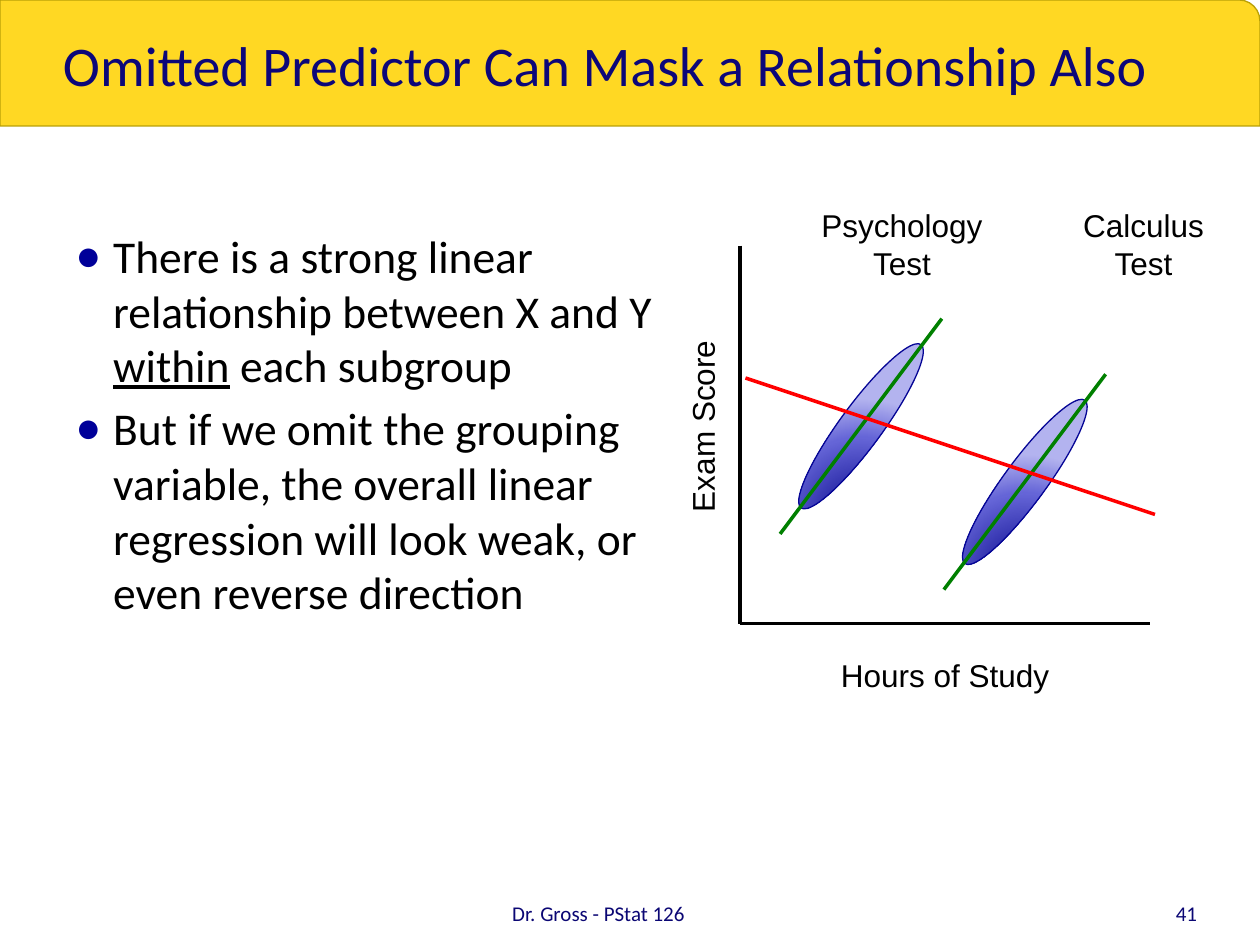
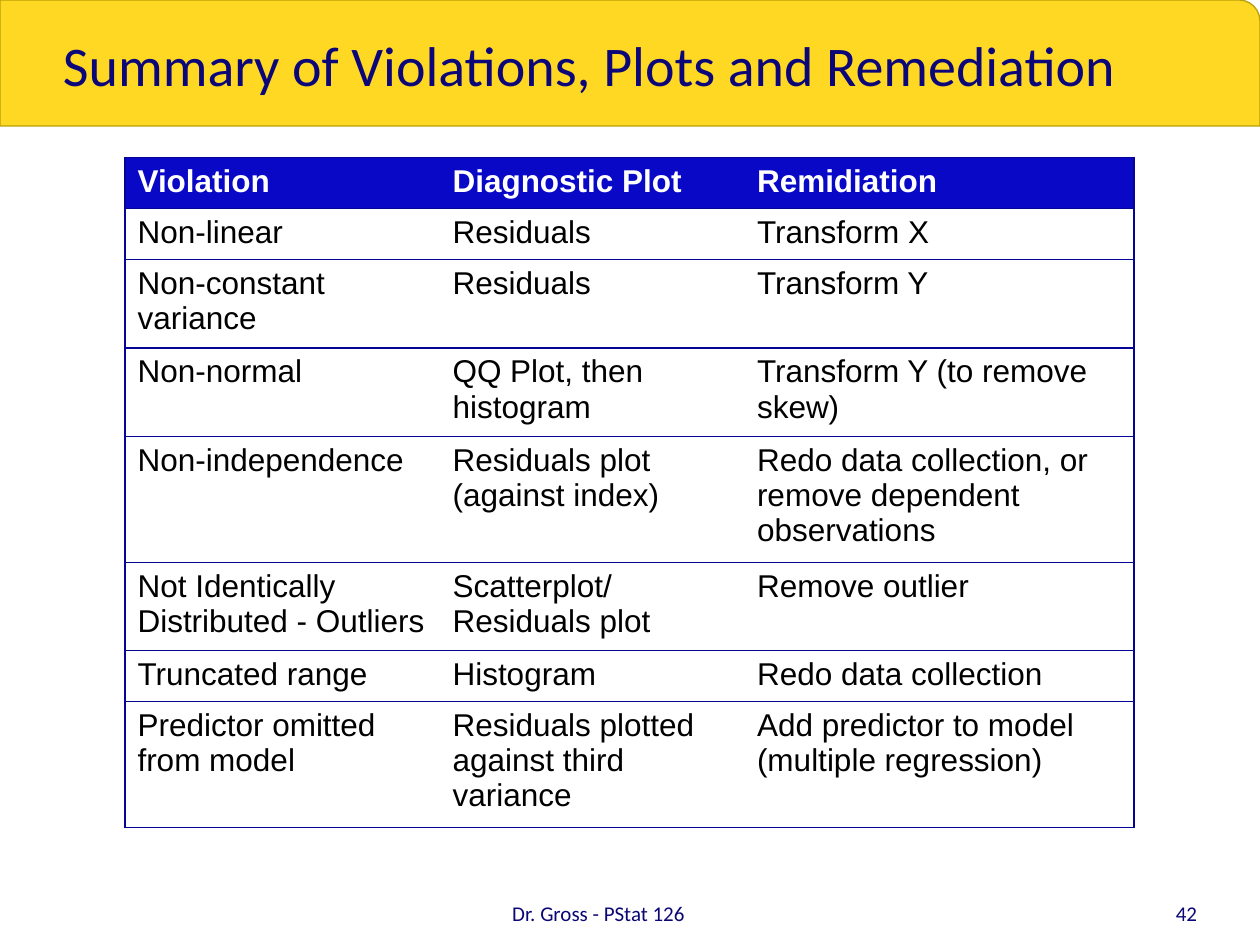
import pptx
import pptx.util
import pptx.dml.color
import pptx.enum.shapes
import pptx.enum.text
import pptx.oxml
import pptx.oxml.ns
from lxml import etree

WIDTH, HEIGHT = 10, 7.5
COLUMNS = 120  # square grid: 120 columns by 90 rows
UNIT = WIDTH / COLUMNS

YELLOW, BAND_EDGE = "FFD823", "B9A006"
TITLE_INK, FOOTER_INK = "0C0779", "0B0774"
NAVY, HEADER_BLUE, BULLET_BLUE = "050595", "0808C6", "000099"
BLACK, WHITE, GREEN, RED = "000000", "FFFFFF", "008000", "FF0000"
CLOUD_STOPS = [(0, "000087"), (68, "6565D7"), (100, "B3B3EF")]

HEAD_FONT, BODY_FONT = "Calibri", "Arial"
FOOTER = "Dr. Gross - PStat 126"
SHAPE = pptx.enum.shapes.MSO_SHAPE
ANCHOR = pptx.enum.text.MSO_ANCHOR
ALIGN = pptx.enum.text.PP_ALIGN

VIOLATIONS = [
    ["Violation", "Diagnostic Plot", "Remidiation"],
    ["Non-linear", "Residuals", "Transform X"],
    ["Non-constant variance", "Residuals", "Transform Y"],
    ["Non-normal", "QQ Plot, then histogram", "Transform Y (to remove skew)"],
    ["Non-independence", "Residuals plot (against index)",
     "Redo data collection, or remove dependent observations"],
    ["Not Identically Distributed - Outliers", "Scatterplot/Residuals plot",
     "Remove outlier"],
    ["Truncated range", "Histogram", "Redo data collection"],
    ["Predictor omitted from model", "Residuals plotted against third variance",
     "Add predictor to model (multiple regression)"],
]
POINTS = [
    [("There is a strong linear relationship between X and Y ", False),
     ("within", True), (" each subgroup", False)],
    [("But if we omit the grouping variable, the overall linear regression "
      "will look weak, or even reverse direction", False)],
]


def grid(*cells):
    """Turn grid cells into lengths."""
    return [pptx.util.Inches(c * UNIT) for c in cells]


def rgb(color):
    return pptx.dml.color.RGBColor.from_string(color)


def xml(tag, body="", **attrs):
    """Make a DrawingML element."""
    attrs = "".join(f' {k}="{v}"' for k, v in attrs.items())
    return pptx.oxml.parse_xml(
        f'<a:{tag} {pptx.oxml.ns.nsdecls("a")}{attrs}>{body}</a:{tag}>')


def solid(color):
    return f'<a:solidFill><a:srgbClr val="{color}"/></a:solidFill>'


def add_run(p, text, size=18, font=BODY_FONT, color=BLACK, bold=False,
            underline=False):
    r = p.add_run()
    r.text = text
    r.font.size = pptx.util.Pt(size)
    r.font.name = font
    r.font.color.rgb = rgb(color)
    r.font.bold = bold
    r.font.underline = underline


def add_frame(s, box, insets=(0.1, 0.05, 0.1, 0.05), anchor=ANCHOR.TOP):
    sp = s.shapes.add_textbox(*grid(*box))
    tf = sp.text_frame
    tf.word_wrap = True
    tf.vertical_anchor = anchor
    (tf.margin_left, tf.margin_top, tf.margin_right,
     tf.margin_bottom) = map(pptx.util.Inches, insets)
    return sp


def add_text(s, text, box, align=ALIGN.LEFT, insets=(0.1, 0.05, 0.1, 0.05),
             anchor=ANCHOR.TOP, **style):
    sp = add_frame(s, box, insets, anchor)
    p = sp.text_frame.paragraphs[0]
    p.alignment = align
    add_run(p, text, **style)
    return sp


def add_shape(s, kind, box, line):
    sp = s.shapes.add_shape(kind, *grid(*box))
    sp.shadow.inherit = False
    sp.line.color.rgb = rgb(line)
    sp.line.width = pptx.util.Pt(0.75)
    return sp


def add_line(s, x1, y1, x2, y2, color=BLACK):
    line = s.shapes.add_connector(
        pptx.enum.shapes.MSO_CONNECTOR.STRAIGHT, *grid(x1, y1, x2, y2))
    line.line.color.rgb = rgb(color)
    line.line.width = pptx.util.Pt(2)
    line._element.spPr.append(xml("effectLst"))


def add_base(prs, title, number):
    """Start a slide with its title band and footer."""
    s = prs.slides.add_slide(prs.slide_layouts[6])
    band = add_shape(s, SHAPE.ROUND_1_RECTANGLE, (0, 0, COLUMNS, 12), BAND_EDGE)
    band.fill.solid()
    band.fill.fore_color.rgb = rgb(YELLOW)
    add_text(s, title, (6, 1, 108, 9.7), insets=(0, 0.05, 0, 0),
             anchor=ANCHOR.MIDDLE, size=32, font=HEAD_FONT, color=TITLE_INK)
    for text, left, width, align in ((FOOTER, 35, 44, ALIGN.CENTER),
                                     (str(number), 104, 10, ALIGN.RIGHT)):
        add_text(s, text, (left, 83.4, width, 4.8), align, insets=(0, 0, 0, 0),
                 anchor=ANCHOR.BOTTOM, size=12, font=HEAD_FONT, color=FOOTER_INK)
    return s


def add_bullets(s, box, points):
    tf = add_frame(s, box, insets=(0.1, 0.56, 0.1, 0.05)).text_frame
    for i, runs in enumerate(points):
        p = tf.add_paragraph() if i else tf.paragraphs[0]
        p.space_before = pptx.util.Pt(5 if i else 0)
        pPr = p._p.get_or_add_pPr()
        indent = pptx.util.Inches(0.3)
        pPr.set("marL", str(indent))
        pPr.set("indent", str(-indent))
        pPr.append(xml("buClr", f'<a:srgbClr val="{BULLET_BLUE}"/>'))
        pPr.append(xml("buSzPct", val=95000))
        pPr.append(xml("buFont", typeface=BODY_FONT))
        pPr.append(xml("buChar", char="●"))
        for text, underline in runs:
            add_run(p, text, size=26, font=HEAD_FONT, underline=underline)


def add_subgroup(s, x, y):
    """Draw a tilted cloud of scores and its trend, centred on x, y."""
    width, height = 4, 19.3
    cloud = add_shape(s, SHAPE.OVAL,
                      (x - width / 2, y - height / 2, width, height), NAVY)
    cloud.rotation = 36.3
    stops = "".join(f'<a:gs pos="{pos * 1000}"><a:srgbClr val="{color}"/></a:gs>'
                    for pos, color in CLOUD_STOPS)
    focus = '<a:fillToRect l="50000" t="130000" r="50000" b="-30000"/>'
    gradient = xml("gradFill", f'<a:gsLst>{stops}</a:gsLst>'
                   f'<a:path path="circle">{focus}</a:path>', rotWithShape=1)
    cloud._element.spPr.find(pptx.oxml.ns.qn("a:prstGeom")).addnext(gradient)
    run, rise = 7.7, 10.25
    add_line(s, x - run, y + rise, x + run, y - rise, GREEN)


def add_score_plot(s, box):
    x, y, w, h = box
    add_line(s, x, y, x, y + h)
    add_line(s, x, y + h, x + w, y + h)
    add_text(s, "Hours of Study", (x, y + h + 2.5, w, 4.8), ALIGN.CENTER)
    label = add_text(s, "Exam Score", (x - 24.1, y + 14.8, 41, 4.8), ALIGN.CENTER)
    label.rotation = 270
    for name, label_x, cx, cy in (("Psychology Test", 5.4, 11.5, 17.2),
                                  ("Calculus Test", 28.4, 27.1, 22.5)):
        add_subgroup(s, x + cx, y + cy)
        add_text(s, name, (x + label_x, y - 4.4, 20, 8.5), ALIGN.CENTER,
                 insets=(0.15, 0.05, 0.15, 0.05))
    add_line(s, x + 0.5, y + 12.6, x + w + 0.5, y + 25.6, RED)


def set_borders(cell, **sides):
    """Draw the named sides of a cell and clear the others."""
    tcPr = cell._tc.get_or_add_tcPr()
    for i, side in enumerate("LRTB"):
        fill = solid(NAVY) if sides.get(side) else "<a:noFill/>"
        tcPr.insert(i, xml(f"ln{side}", fill, w=pptx.util.Pt(0.75)))


def add_table(s, left, top, widths, row_height, rows):
    frame = s.shapes.add_table(
        len(rows), len(widths),
        *grid(left, top, sum(widths), row_height * len(rows)))
    table = frame.table
    table.first_row = table.horz_banding = False
    for column, width in zip(table.columns, widths):
        column.width = grid(width)[0]
    for i, row in enumerate(rows):
        header = i == 0
        for j, text in enumerate(row):
            cell = table.cell(i, j)
            if header:
                cell.fill.solid()
                cell.fill.fore_color.rgb = rgb(HEADER_BLUE)
            else:
                cell.fill.background()
            add_run(cell.text_frame.paragraphs[0], text, bold=header,
                    color=WHITE if header else BLACK)
            set_borders(cell, L=j == 0, R=j == len(widths) - 1, T=True, B=True)


def main():
    prs = pptx.Presentation()
    prs.slide_width = pptx.util.Inches(WIDTH)
    prs.slide_height = pptx.util.Inches(HEIGHT)

    s = add_base(prs, "Omitted Predictor Can Mask a Relationship Also", 41)
    add_bullets(s, (6, 15, 60, 67), POINTS)
    add_score_plot(s, (70.5, 23.4, 39, 36))

    s = add_base(prs, "Summary of Violations, Plots and Remediation", 42)
    add_table(s, 11.9, 15, (30, 29, 37.1), 4.87, VIOLATIONS)

    prs.save("out.pptx")


if __name__ == "__main__":
    main()
